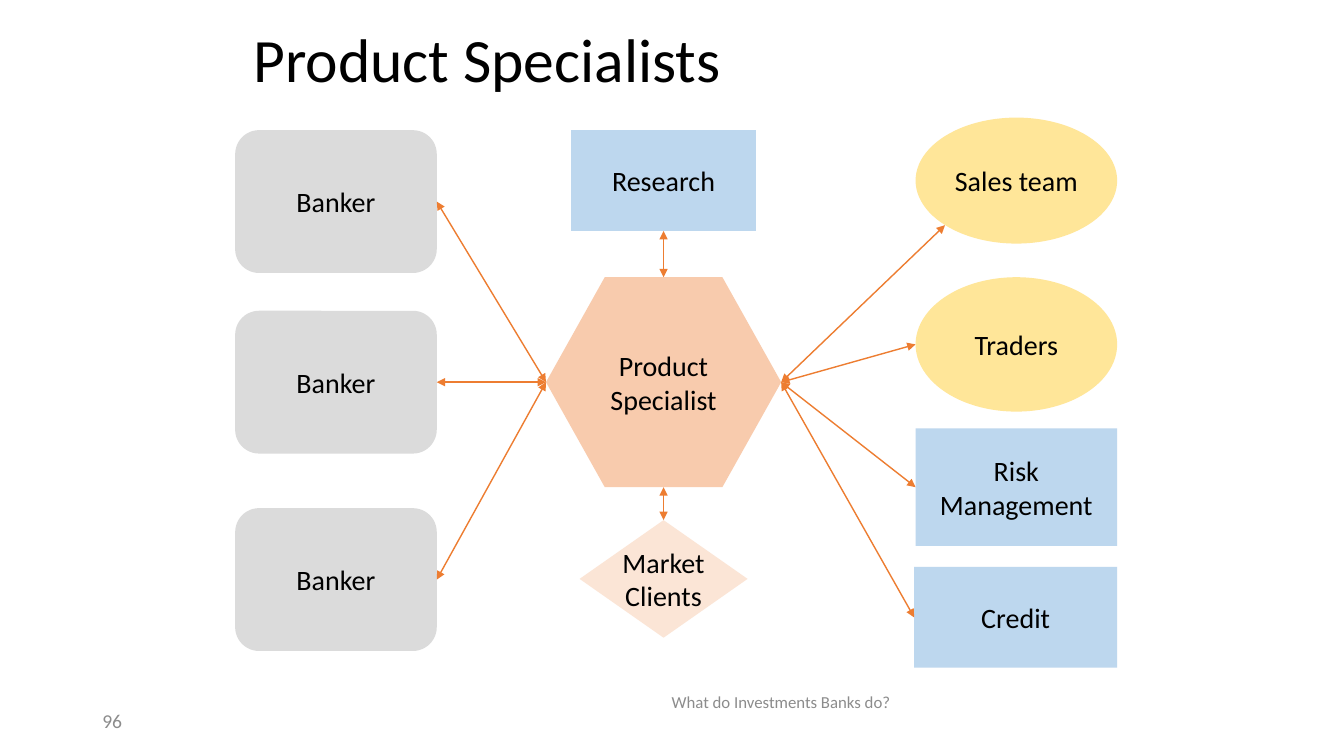
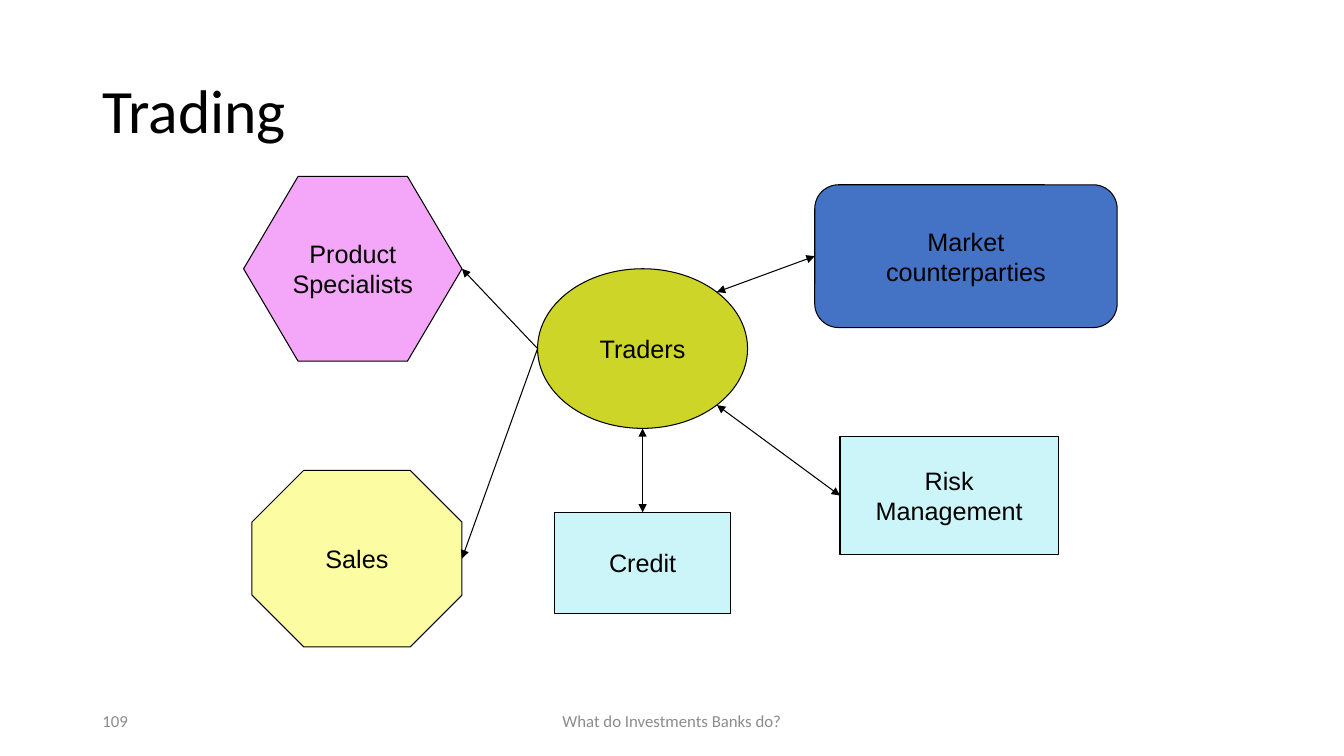
from collections import namedtuple
from lxml.etree import SubElement
from pptx import Presentation
from pptx.dml.color import RGBColor
from pptx.enum.shapes import MSO_CONNECTOR, MSO_SHAPE
from pptx.enum.text import MSO_ANCHOR, PP_ALIGN
from pptx.oxml.ns import qn
from pptx.util import Pt

COLORS = {
    "black": "000000",
    "footer": "8C8C8C",
    "orange": "ED7D31",
    "peach": "F8CBAD",
    "cream": "FBE5D6",
    "grey": "DBDBDB",
    "gold": "FFE699",
    "sky": "BDD7EE",
    "yellow": "FCFCA2",
    "olive": "CDD529",
    "aqua": "CBF5F9",
    "pink": "F4A6F8",
    "blue": "4472C4",
}
FOOTER_TEXT = "What do Investments Banks do?"
NUMBER_BOX = (66, 500, 216, 29)

DIAGONAL = 0.354
SIDES = {
    "left": (0, 0.5),
    "right": (1, 0.5),
    "top": (0.5, 0),
    "bottom": (0.5, 1),
    "top_right": (0.5 + DIAGONAL, 0.5 - DIAGONAL),
    "bottom_right": (0.5 + DIAGONAL, 0.5 + DIAGONAL),
    "bottom_left": (0.5 - DIAGONAL, 0.5 + DIAGONAL),
}

Node = namedtuple("Node", "preset box color text adjustment", defaults=(None,))
Link = namedtuple("Link", "start start_side end end_side both", defaults=(True,))
Style = namedtuple("Style", "font size outline arrow arrow_width")

SPECIALIST_STYLE = Style("Calibri", 20, None, "orange", 1)
TRADING_STYLE = Style("Arial", 18, "black", "black", 0.75)


def rgb(name):
    return RGBColor.from_string(COLORS[name])


def set_text(shape, text, font, size, color, alignment, wrap=True):
    frame = shape.text_frame
    frame.text = text
    frame.word_wrap = wrap
    frame.vertical_anchor = MSO_ANCHOR.MIDDLE
    for paragraph in frame.paragraphs:
        paragraph.alignment = alignment
        paragraph.font.name = font
        paragraph.font.size = Pt(size)
        paragraph.font.color.rgb = rgb(color)


def add_label(slide, box, text, size, color, alignment=PP_ALIGN.LEFT):
    label = slide.shapes.add_textbox(*map(Pt, box))
    set_text(label, text, "Calibri", size, color, alignment)
    return label


def add_title(slide, box, text):
    title = add_label(slide, box, text, 44, "black")
    title.text_frame.paragraphs[0].line_spacing = 0.9


def add_footer(slide, box, number, number_size):
    add_label(slide, NUMBER_BOX, number, number_size, "footer")
    add_label(slide, box, FOOTER_TEXT, 12, "footer", PP_ALIGN.CENTER)


def add_node(slide, origin, node, style):
    left, top, width, height = node.box
    shape = slide.shapes.add_shape(
        node.preset, Pt(origin[0] + left), Pt(origin[1] + top), Pt(width), Pt(height)
    )
    shape.shadow.inherit = False
    if node.adjustment is not None:
        shape.adjustments[0] = node.adjustment
    shape.fill.solid()
    shape.fill.fore_color.rgb = rgb(node.color)
    if style.outline:
        shape.line.color.rgb = rgb(style.outline)
        shape.line.width = Pt(0.75)
    else:
        shape.line.fill.background()
    set_text(shape, node.text, style.font, style.size, "black", PP_ALIGN.CENTER, False)
    return shape


def side_point(shape, side):
    across, down = SIDES[side]
    return (
        round(shape.left + across * shape.width),
        round(shape.top + down * shape.height),
    )


def add_arrow(slide, start, end, both, style):
    arrow = slide.shapes.add_connector(MSO_CONNECTOR.STRAIGHT, *start, *end)
    arrow.line.color.rgb = rgb(style.arrow)
    arrow.line.width = Pt(style.arrow_width)
    line = arrow.line._get_or_add_ln()
    for tag in ("a:headEnd", "a:tailEnd") if both else ("a:tailEnd",):
        SubElement(line, qn(tag), type="triangle")
    SubElement(arrow._element.spPr, qn("a:effectLst"))


def add_diagram(slide, box, nodes, links, style):
    shapes = {name: add_node(slide, box, node, style) for name, node in nodes.items()}
    for link in links:
        start = side_point(shapes[link.start], link.start_side)
        end = side_point(shapes[link.end], link.end_side)
        add_arrow(slide, start, end, link.both, style)


def build_specialists(slide):
    add_title(slide, (174, 0, 612, 90), "Product Specialists")
    bankers = {
        f"banker {index}": Node(
            MSO_SHAPE.ROUNDED_RECTANGLE, (0, top, 144, 102), "grey", "Banker", 0.167
        )
        for index, top in enumerate((9, 138, 279))
    }
    nodes = {
        "specialist": Node(
            MSO_SHAPE.HEXAGON, (222, 114, 168, 150), "peach", "Product\nSpecialist", 0.28
        ),
        **bankers,
        "research": Node(MSO_SHAPE.RECTANGLE, (240, 9, 132, 72), "sky", "Research"),
        "clients": Node(
            MSO_SHAPE.DIAMOND, (246, 287.5, 120, 84), "cream", "Market\nClients"
        ),
        "sales": Node(MSO_SHAPE.OVAL, (486, 0, 144, 90), "gold", "Sales team"),
        "traders": Node(MSO_SHAPE.OVAL, (486, 114, 144, 96), "gold", "Traders"),
        "risk": Node(
            MSO_SHAPE.RECTANGLE, (486, 222, 144, 84), "sky", "Risk\nManagement"
        ),
        "credit": Node(MSO_SHAPE.RECTANGLE, (485, 321, 145, 72), "sky", "Credit"),
    }
    links = [Link("specialist", "left", name, "right") for name in bankers]
    links += [
        Link("specialist", "right", name, "left")
        for name in ("traders", "risk", "credit")
    ]
    links += [
        Link("specialist", "right", "sales", "bottom_left"),
        Link("specialist", "top", "research", "bottom"),
        Link("specialist", "bottom", "clients", "top"),
    ]
    add_diagram(slide, (168, 84, 630, 393), nodes, links, SPECIALIST_STYLE)
    add_footer(slide, (276.5, 484, 563, 34), "96", 14)


def build_trading(slide):
    add_title(slide, (66, 29, 828, 104), "Trading")
    nodes = {
        "specialists": Node(
            MSO_SHAPE.HEXAGON, (0, 0, 156, 132), "pink", "Product\nSpecialists", 0.295
        ),
        "sales": Node(MSO_SHAPE.OCTAGON, (6, 210, 150, 126), "yellow", "Sales", 0.293),
        "traders": Node(MSO_SHAPE.OVAL, (210, 66, 150, 114), "olive", "Traders"),
        "credit": Node(MSO_SHAPE.RECTANGLE, (222, 240, 126, 72), "aqua", "Credit"),
        "risk": Node(
            MSO_SHAPE.RECTANGLE, (426, 186, 156, 84), "aqua", "Risk\nManagement"
        ),
        "market": Node(
            MSO_SHAPE.FLOWCHART_ALTERNATE_PROCESS,
            (408, 6, 216, 102),
            "blue",
            "Market\ncounterparties",
        ),
    }
    links = [
        Link("traders", "left", "sales", "right", False),
        Link("traders", "left", "specialists", "right", False),
        Link("traders", "top_right", "market", "left"),
        Link("traders", "bottom_right", "risk", "left"),
        Link("traders", "bottom", "credit", "top"),
    ]
    add_diagram(slide, (174, 126, 624, 336), nodes, links, TRADING_STYLE)
    add_footer(slide, (318, 500, 324, 29), "109", 12)


def main():
    presentation = Presentation()
    presentation.slide_width = Pt(960)
    presentation.slide_height = Pt(540)
    for build in (build_specialists, build_trading):
        build(presentation.slides.add_slide(presentation.slide_layouts[6]))
    presentation.save("out.pptx")


if __name__ == "__main__":
    main()
